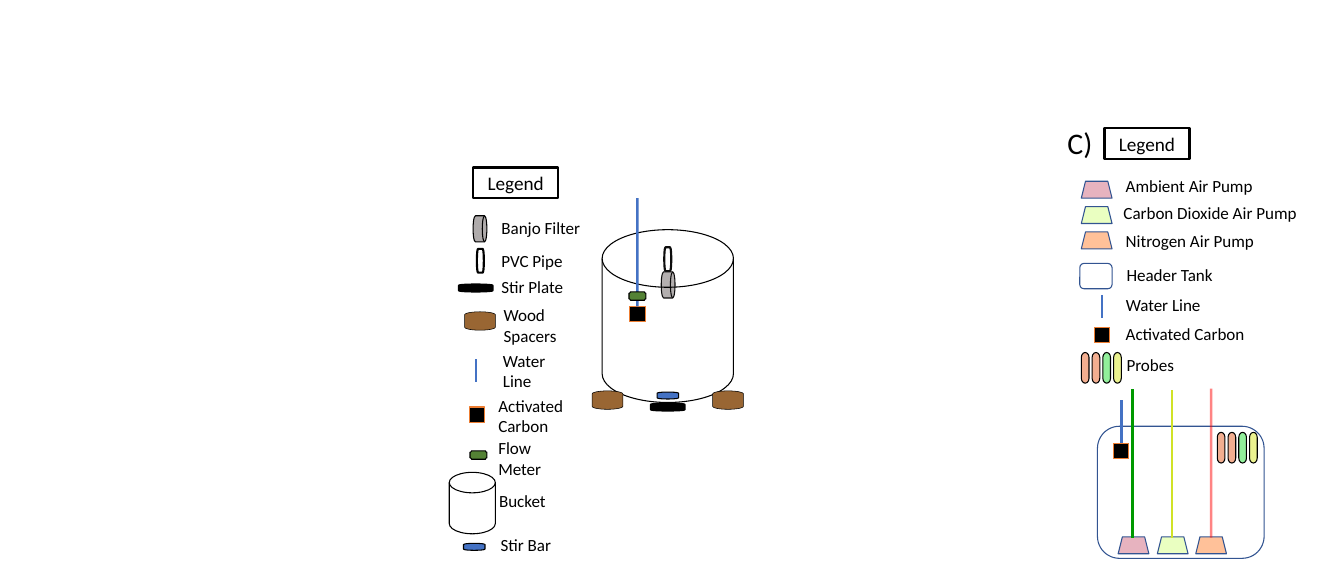
from lxml import etree
from pptx import Presentation
from pptx import util as u
from pptx.dml.color import RGBColor
from pptx.enum import shapes, text
from pptx.oxml import ns

Inches = u.Inches
Kind = shapes.MSO_SHAPE

BLACK = RGBColor(0x00, 0x00, 0x00)
WHITE = RGBColor(0xFF, 0xFF, 0xFF)
GREY = RGBColor(0xAF, 0xAB, 0xAB)
WOOD = RGBColor(0x99, 0x66, 0x33)
WATER = RGBColor(0x44, 0x72, 0xC4)
METER = RGBColor(0x54, 0x82, 0x35)
CARBON_EDGE = RGBColor(0xED, 0x7D, 0x31)
NAVY = RGBColor(0x32, 0x54, 0x91)
AMBIENT = RGBColor(0xC5, 0x43, 0x5F)
CARBON_DIOXIDE = RGBColor(0xCC, 0xFF, 0x66)
NITROGEN = RGBColor(0xFF, 0x66, 0x00)
AMBIENT_LINE = RGBColor(0x00, 0x99, 0x00)
CARBON_DIOXIDE_LINE = RGBColor(0xD0, 0xE2, 0x26)
NITROGEN_LINE = RGBColor(0xFF, 0x09, 0x09)
PROBE_COLOURS = (RGBColor(0xE6, 0x5F, 0x22), RGBColor(0xE6, 0x5F, 0x22),
                 RGBColor(0x27, 0xE1, 0x39), RGBColor(0xD9, 0xE7, 0x21))


def set_opacity(element, percent):
    colour = element.find(".//" + ns.qn("a:srgbClr"))
    etree.SubElement(colour, ns.qn("a:alpha")).set("val", str(percent * 1000))


def add_part(slide, kind, frame, fill, edge=BLACK, weight=1, turn=0, opacity=100):
    part = slide.shapes.add_shape(kind, *map(Inches, frame))
    part.shadow.inherit = False
    part.rotation = turn
    part.fill.solid()
    part.fill.fore_color.rgb = fill
    if opacity < 100:
        set_opacity(part.fill._xPr, opacity)
    part.line.color.rgb = edge
    part.line.width = u.Pt(weight)
    return part


def add_label(slide, words, left, top, width, height=0.37, size=16):
    label = slide.shapes.add_textbox(*map(Inches, (left, top, width, height)))
    frame = label.text_frame
    frame.word_wrap = True
    frame.auto_size = text.MSO_AUTO_SIZE.SHAPE_TO_FIT_TEXT
    paragraph = frame.paragraphs[0]
    paragraph.text = words
    paragraph.font.size = u.Pt(size)
    paragraph.font.name = "Calibri"
    paragraph.font.color.rgb = BLACK
    return label


def add_legend_heading(slide, left, top):
    heading = add_label(slide, "Legend", left, top, 1.11, 0.4, 18)
    heading.text_frame.paragraphs[0].alignment = text.PP_ALIGN.CENTER
    heading.line.color.rgb = BLACK
    heading.line.width = u.Pt(2.25)


def add_line(slide, x, top, bottom, colour=WATER, weight=2.25, opacity=100):
    line = slide.shapes.add_connector(
        shapes.MSO_CONNECTOR.STRAIGHT, Inches(x), Inches(top), Inches(x), Inches(bottom))
    line.line.color.rgb = colour
    line.line.width = u.Pt(weight)
    properties = line._element.spPr
    if opacity < 100:
        set_opacity(properties, opacity)
    etree.SubElement(properties, ns.qn("a:effectLst"))
    return line


def add_pipe(slide, left, top):
    add_part(slide, Kind.FLOWCHART_TERMINATOR, (left, top, 0.09, 0.31), WHITE, weight=2)


def add_filter(slide, left, top):
    add_part(slide, Kind.FLOWCHART_DIRECT_ACCESS_STORAGE, (left, top, 0.18, 0.34), GREY)


def add_bucket(slide, frame):
    add_part(slide, Kind.FLOWCHART_DIRECT_ACCESS_STORAGE, frame, WHITE, turn=270, opacity=5)


def add_stir_plate(slide, left, top):
    add_part(slide, Kind.FLOWCHART_TERMINATOR, (left, top, 0.09, 0.44), BLACK, weight=2, turn=90)


def add_stir_bar(slide, left, top):
    add_part(slide, Kind.FLOWCHART_TERMINATOR, (left, top, 0.09, 0.28), WATER, turn=90)


def add_spacer(slide, left, top):
    add_part(slide, Kind.FLOWCHART_TERMINATOR, (left, top, 0.24, 0.4), WOOD, weight=0.5, turn=90)


def add_carbon(slide, left, top):
    return add_part(slide, Kind.RECTANGLE, (left, top, 0.2, 0.2), BLACK, CARBON_EDGE)


def add_meter(slide, left, top):
    add_part(slide, Kind.PLAQUE, (left, top, 0.22, 0.11), METER)


def add_tank(slide, frame):
    add_part(slide, Kind.ROUNDED_RECTANGLE, frame, WHITE, NAVY, opacity=30)


def add_pump(slide, left, top, colour):
    add_part(slide, Kind.TRAPEZOID, (left, top, 0.4, 0.22), colour, NAVY, opacity=40)


def add_probes(slide, left, top):
    for index, colour in enumerate(PROBE_COLOURS):
        add_part(slide, Kind.FLOWCHART_TERMINATOR, (left + 0.14 * index, top, 0.4, 0.1),
                 colour, turn=90, opacity=50)


def add_bucket_legend(slide):
    add_legend_heading(slide, 6.16, 2.18)
    add_filter(slide, 6.16, 2.81)
    add_pipe(slide, 6.21, 3.24)
    add_stir_plate(slide, 6.15, 3.53)
    add_spacer(slide, 6.13, 3.98)
    add_line(slide, 6.2, 4.68, 4.98)
    add_carbon(slide, 6.11, 5.3)
    add_meter(slide, 6.12, 5.87)
    add_bucket(slide, (5.75, 6.25, 0.8, 0.6))
    add_stir_bar(slide, 6.13, 6.98)
    for words, left, top, width, height in (
            ("Banjo Filter", 6.43, 2.78, 1.39, 0.37),
            ("PVC Pipe", 6.43, 3.21, 1.11, 0.37),
            ("Stir Plate", 6.43, 3.55, 1.11, 0.37),
            ("Wood Spacers", 6.46, 3.92, 1.1, 0.64),
            ("Water Line", 6.45, 4.51, 1.1, 0.64),
            ("Activated Carbon", 6.39, 5.1, 1.1, 0.64),
            ("Flow Meter", 6.39, 5.65, 1.1, 0.64),
            ("Bucket", 6.4, 6.34, 1.1, 0.37),
            ("Stir Bar", 6.42, 6.91, 1.1, 0.37)):
        add_label(slide, words, left, top, width, height)


def add_bucket_diagram(slide):
    add_pipe(slide, 8.65, 3.22)
    add_filter(slide, 8.61, 3.54)
    add_bucket(slide, (7.57, 3.26, 2.25, 1.71))
    add_stir_plate(slide, 8.65, 5.08)
    add_stir_bar(slide, 8.65, 5.01)
    for left in (7.79, 9.36):
        add_spacer(slide, left, 5.01)
    carbon = add_carbon(slide, 8.2, 3.99)
    add_line(slide, 8.3, 2.58, 3.99).end_connect(carbon, 0)
    add_meter(slide, 8.19, 3.8)


def add_tank_legend(slide):
    add_label(slide, "C)", 13.8, 1.57, 0.55, 0.57, 28)
    add_legend_heading(slide, 14.38, 1.67)
    for index, colour in enumerate((AMBIENT, CARBON_DIOXIDE, NITROGEN)):
        add_pump(slide, 14.08, 2.36 + 0.33 * index, colour)
    add_tank(slide, (14.06, 3.43, 0.42, 0.33))
    add_line(slide, 14.35, 3.84, 4.14)
    add_carbon(slide, 14.25, 4.26)
    add_probes(slide, 13.93, 4.74)
    for words, left, top, width in (
            ("Ambient Air Pump", 14.56, 2.24, 2),
            ("Carbon Dioxide Air Pump", 14.53, 2.59, 2.72),
            ("Nitrogen Air Pump", 14.56, 2.95, 2.33),
            ("Header Tank", 14.57, 3.4, 1.57),
            ("Water Line", 14.56, 3.78, 1.62),
            ("Activated Carbon", 14.56, 4.16, 1.9),
            ("Probes", 14.57, 4.57, 1.9)):
        add_label(slide, words, left, top, width)


def add_tank_diagram(slide):
    add_tank(slide, (14.29, 5.55, 2.17, 1.72))
    for left, pump, x, top, colour, opacity in (
            (14.56, AMBIENT, 14.75, 5.07, AMBIENT_LINE, 100),
            (15.07, CARBON_DIOXIDE, 15.26, 5.08, CARBON_DIOXIDE_LINE, 100),
            (15.57, NITROGEN, 15.77, 5.06, NITROGEN_LINE, 50)):
        add_pump(slide, left, 6.99, pump)
        add_line(slide, x, top, 7, colour, 2.5, opacity)
    carbon = add_carbon(slide, 14.5, 5.77)
    add_line(slide, 14.6, 5.21, 5.77, weight=2.5).end_connect(carbon, 0)
    add_probes(slide, 15.7, 5.78)


def main():
    presentation = Presentation()
    presentation.slide_width = Inches(17.5)
    presentation.slide_height = Inches(7.5)
    slide = presentation.slides.add_slide(presentation.slide_layouts[6])
    add_bucket_legend(slide)
    add_bucket_diagram(slide)
    add_tank_legend(slide)
    add_tank_diagram(slide)
    presentation.save("out.pptx")


if __name__ == "__main__":
    main()
